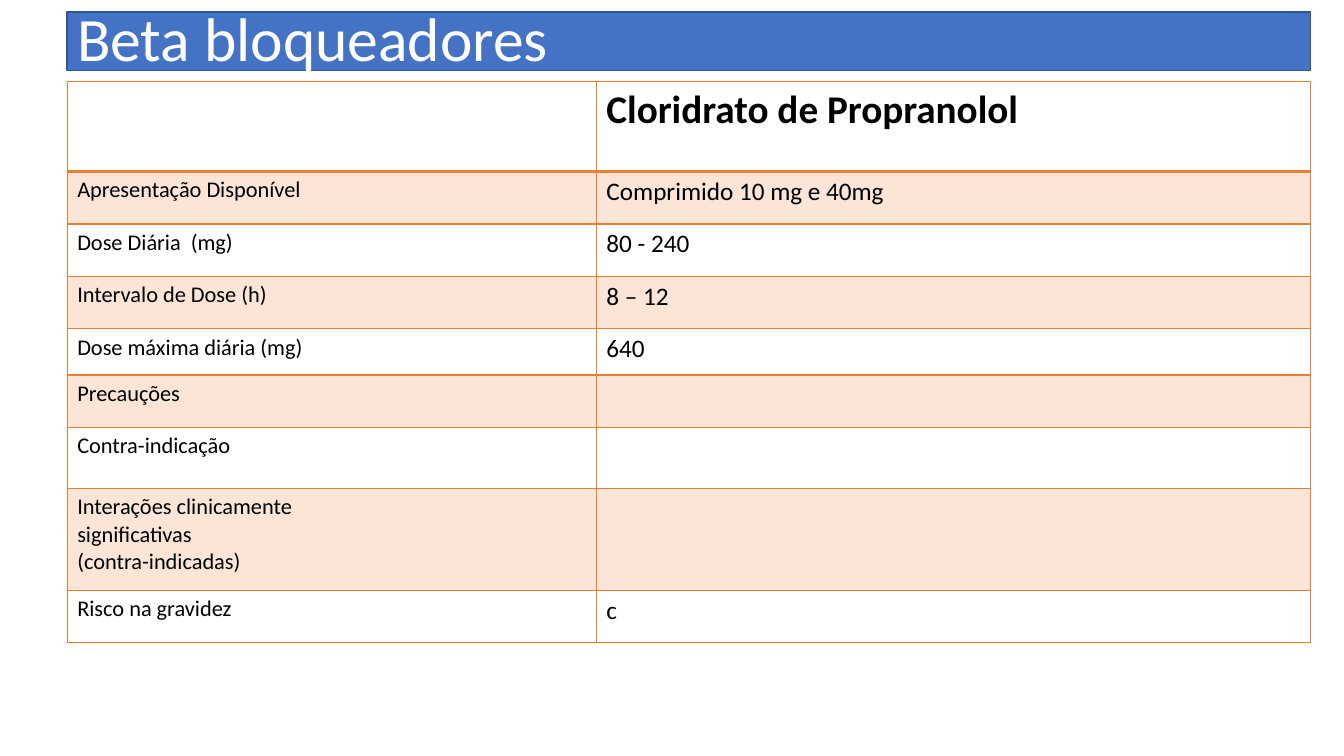
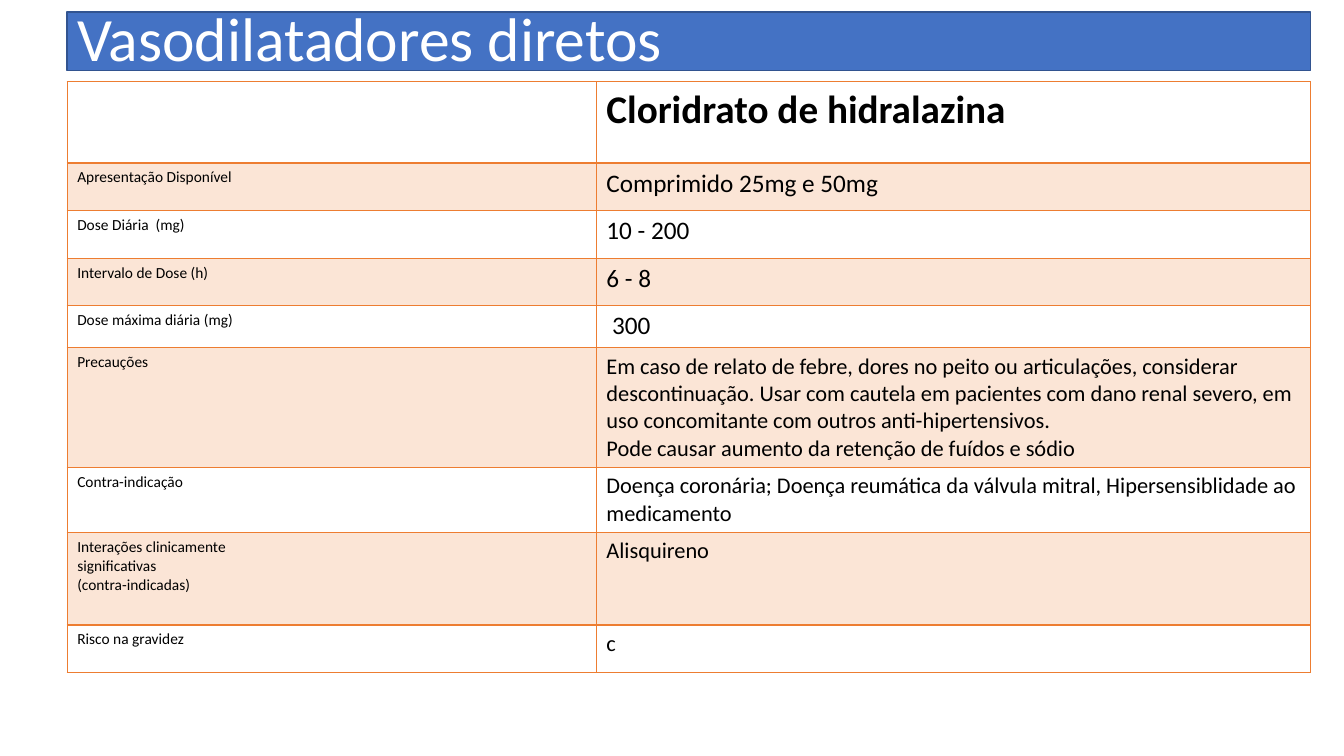
from dataclasses import dataclass

from lxml.etree import SubElement
from pptx import Presentation
from pptx.dml.color import RGBColor
from pptx.enum.shapes import MSO_SHAPE
from pptx.enum.text import MSO_ANCHOR, PP_ALIGN
from pptx.oxml.ns import qn
from pptx.slide import Slide
from pptx.table import _Cell
from pptx.util import Pt

COLORS = {
    "title": "4472C4",
    "title_line": "325490",
    "title_text": "FFFFFF",
    "border": "ED7D31",
    "band": "FBE5D6",
    "text": "000000",
}
FONT = "Calibri"
LEFT, WIDTH = 48, 888
TITLE_TOP, TITLE_HEIGHT = 8.5, 42
TABLE_TOP = 58.3
COLUMN_WIDTHS = (378, WIDTH - 378)
THIN, THICK = 0.96, 1.98
HEADER_SIZE = 28
LABELS = (
    "Apresentação Disponível",
    "Dose Diária  (mg)",
    "Intervalo de Dose (h)",
    "Dose máxima diária (mg)",
    "Precauções",
    "Contra-indicação",
    "Interações clinicamente\nsignificativas\n(contra-indicadas)",
    "Risco na gravidez",
)


@dataclass(frozen=True)
class Entry:
    text: str = ""
    size: float = 18


@dataclass(frozen=True)
class DrugSheet:
    title: str
    drug: str
    label_size: float
    row_heights: tuple[float, ...]
    entries: tuple[Entry, ...]


SHEETS = (
    DrugSheet(
        "Beta bloqueadores",
        "Cloridrato de Propranolol",
        16,
        (64.2, 37.5, 37.5, 37.5, 33, 37.5, 43.5, 72.8, 37.5),
        (
            Entry("Comprimido 10 mg e 40mg"),
            Entry("80 - 240"),
            Entry("8 – 12"),
            Entry("640"),
            Entry(),
            Entry(),
            Entry(),
            Entry("c"),
        ),
    ),
    DrugSheet(
        "Vasodilatadores diretos",
        "Cloridrato de hidralazina",
        11,
        (58.2, 34, 34, 34, 30, 70.5, 39.6, 66.2, 34),
        (
            Entry("Comprimido 25mg e 50mg"),
            Entry("10 - 200"),
            Entry("6 - 8"),
            Entry(" 300"),
            Entry(
                "Em caso de relato de febre, dores no peito ou articulações, "
                "considerar descontinuação. Usar com cautela em pacientes com "
                "dano renal severo, em\n"
                "uso concomitante com outros anti-hipertensivos.\n"
                "Pode causar aumento da retenção de fuídos e sódio",
                16,
            ),
            Entry(
                "Doença coronária; Doença reumática da válvula mitral, "
                "Hipersensiblidade ao\nmedicamento",
                16,
            ),
            Entry("Alisquireno", 16),
            Entry("c", 16),
        ),
    ),
)


def color(name: str) -> RGBColor:
    return RGBColor.from_string(COLORS[name])


def format_text(tf, size: float, color_name: str, bold: bool = False) -> None:
    for p in tf.paragraphs:
        for r in p.runs:
            r.font.name = FONT
            r.font.size = Pt(size)
            r.font.bold = bold
            r.font.color.rgb = color(color_name)


def add_title(s: Slide, text: str) -> None:
    sp = s.shapes.add_shape(
        MSO_SHAPE.RECTANGLE, Pt(LEFT), Pt(TITLE_TOP), Pt(WIDTH), Pt(TITLE_HEIGHT)
    )
    sp.shadow.inherit = False
    sp.fill.solid()
    sp.fill.fore_color.rgb = color("title")
    sp.line.color.rgb = color("title_line")
    sp.line.width = Pt(1)
    tf = sp.text_frame
    tf.word_wrap = True
    tf.vertical_anchor = MSO_ANCHOR.MIDDLE
    tf.text = text
    p = tf.paragraphs[0]
    p.alignment = PP_ALIGN.LEFT
    p.line_spacing = 0.9
    format_text(tf, 44, "title_text")


def set_borders(cell: _Cell, top: float, bottom: float) -> None:
    tc_pr = cell._tc.get_or_add_tcPr()
    for side, width in (("L", THIN), ("R", THIN), ("T", top), ("B", bottom)):
        ln = SubElement(tc_pr, qn(f"a:ln{side}"), w=str(Pt(width)))
        fill = SubElement(ln, qn("a:solidFill"))
        SubElement(fill, qn("a:srgbClr"), val=COLORS["border"])


def fill_cell(cell: _Cell, entry: Entry, row: int) -> None:
    set_borders(cell, THICK if row == 1 else THIN, THICK if row == 0 else THIN)
    if row % 2:
        cell.fill.solid()
        cell.fill.fore_color.rgb = color("band")
    else:
        cell.fill.background()
    if entry.text:
        cell.text_frame.text = entry.text
        format_text(cell.text_frame, entry.size, "text", bold=row == 0)


def add_drug_table(s: Slide, sheet: DrugSheet) -> None:
    labels = [Entry(label, sheet.label_size) for label in LABELS]
    rows = [(Entry(), Entry(sheet.drug, HEADER_SIZE)), *zip(labels, sheet.entries)]
    table = s.shapes.add_table(
        len(rows), len(COLUMN_WIDTHS), Pt(LEFT), Pt(TABLE_TOP),
        Pt(WIDTH), Pt(sum(sheet.row_heights)),
    ).table
    table.first_row = False
    table.horz_banding = False
    for column, width in zip(table.columns, COLUMN_WIDTHS):
        column.width = Pt(width)
    for i, (height, entries) in enumerate(zip(sheet.row_heights, rows)):
        table.rows[i].height = Pt(height)
        for j, entry in enumerate(entries):
            fill_cell(table.cell(i, j), entry, i)


def main() -> None:
    prs = Presentation()
    prs.slide_width, prs.slide_height = Pt(960), Pt(540)
    for sheet in SHEETS:
        s = prs.slides.add_slide(prs.slide_layouts[6])
        add_title(s, sheet.title)
        add_drug_table(s, sheet)
    prs.save("out.pptx")


if __name__ == "__main__":
    main()
